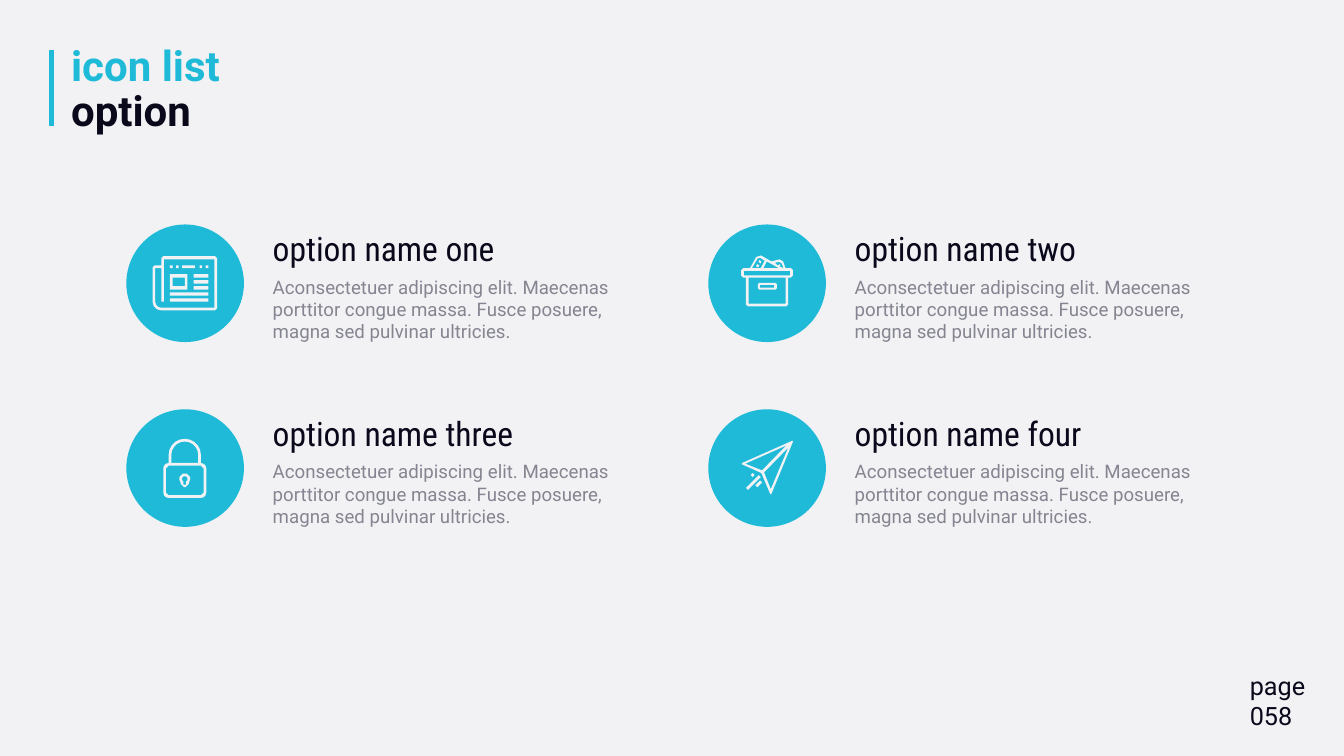
from lxml import etree
from pptx import Presentation, util as u
from pptx.dml.color import RGBColor
from pptx.enum import shapes, text
from pptx.oxml import ns

WIDTH, HEIGHT = 20, 11.25
PALE = RGBColor(0xF2, 0xF2, 0xF5)
CYAN = RGBColor(0x1F, 0xBA, 0xD7)
DARK = RGBColor(0x0A, 0x09, 0x1B)
GREY = RGBColor(0x85, 0x85, 0x91)

GRID_LEFT, GRID_TOP = 1.88, 3.34
COLUMN, ROW = 8.66, 2.75
DISC = 1.75
TEXT_X, NAME_H = 2.08, 0.71
BLURB = ("Aconsectetuer adipiscing elit. Maecenas porttitor congue massa. "
         "Fusce posuere, magna sed pulvinar ultricies.")


def rect(x, y, w, h, r=0):
    return [(x, y, r), (x + w, y, r), (x + w, y + h, r), (x, y + h, r)]


# Icon contours in hundredths of an inch from the disc's corner, each corner
# being (x, y) or (x, y, radius). A contour inside another one cuts a hole.
NEWSPAPER = [
    [(52, 47, 3), (135, 47, 3), (135, 128, 3), (39, 128, 13), (39, 61, 3), (52, 61)],
    [(56, 52), (131, 52), (131, 124), (43, 124, 9), (43, 65), (52, 65),
     (52, 115), (56, 115)],
    rect(65, 74, 26, 23), rect(69, 79, 18, 13),
    rect(83, 61, 19, 4),
    *[rect(x, 61, 4, 4) for x in (65, 74, 109, 118)],
    *[rect(100, y, 22, 5) for y in (74, 83, 92)],
    *[rect(65, y, 57, 5) for y in (101, 110)],
]
PADLOCK = [
    [(63, 80), (63, 44, 24), (111, 44, 24), (111, 80),
     (107, 80), (107, 48, 20), (67, 48, 20), (67, 80)],
    rect(55, 80, 64, 52, 8), rect(59, 84, 56, 44, 4),
    [(79, 96, 5), (95, 96, 5), (95, 108, 3), (93, 110),
     (93, 116, 5), (81, 116, 5), (81, 110), (79, 108, 3)],
    [(83, 100, 2), (91, 100, 2), (91, 106), (89, 107),
     (89, 112), (85, 112), (85, 107), (83, 106)],
]
ARCHIVE_BOX = [
    rect(49, 65, 77, 14, 3), rect(53, 69, 69, 7),
    [(56, 79), (60, 79), (60, 118), (115, 118), (115, 79), (119, 79),
     (119, 122, 3), (56, 122, 3)],
    rect(74, 87, 28, 10, 2), rect(77, 90, 21, 4),
    [(62, 65), (74, 44, 5), (80, 47), (94, 55), (110, 51, 4), (115, 65)],
    [(65, 65), (75, 48, 3), (84, 54), (78, 65)],
    [(82, 65), (87, 55), (105, 65)],
    [(99, 57), (108, 55, 3), (112, 65), (107, 63), (107, 59), (103, 61)],
    [(79, 55), (76, 53), (75, 56), (78, 58)],
    [(76, 61), (73, 59), (71, 62), (74, 64)],
]
PAPER_PLANE = [
    [(48, 81, 2), (127, 46, 2), (93, 128, 2), (79, 95)],
    [(55, 81), (116, 54), (80, 91)],
    [(93, 119), (83, 94), (119, 57)],
    [(63, 98), (66, 95), (69, 98), (66, 101)],
    [(56, 117), (75, 98), (78, 101), (59, 120)],
    [(70, 113), (77, 106), (80, 109), (73, 116)],
]
OPTIONS = [
    ("option name one", NEWSPAPER), ("option name two", ARCHIVE_BOX),
    ("option name three", PADLOCK), ("option name four", PAPER_PLANE),
]


def outline(corners):
    """Points of a closed contour, its corners rounded, in thousandths of an inch."""
    points = []
    for i, (x, y, *radius) in enumerate(corners):
        r = radius[0] if radius else 0
        if not r:
            points.append((x * 10, y * 10))
            continue
        ends = []
        for nx, ny, *_ in (corners[i - 1], corners[(i + 1) % len(corners)]):
            share = r / ((nx - x) ** 2 + (ny - y) ** 2) ** 0.5
            ends.append(((nx - x) * share, (ny - y) * share))
        (ax, ay), (bx, by) = ends
        steps = 1 if r <= 5 else 3 if r <= 13 else 5
        for step in range(steps + 1):
            t = step / steps
            a = (1 - t) ** 3 + 3 * t * (1 - t) ** 2 * 0.45
            b = t ** 3 + 3 * t ** 2 * (1 - t) * 0.45
            points.append(((x + a * ax + b * bx) * 10, (y + a * ay + b * by) * 10))
    return points


def paint(sp, color):
    sp.shadow.inherit = False
    sp.fill.solid()
    sp.fill.fore_color.rgb = color
    sp.line.fill.background()


def add_icon(parent, x, y, contours):
    first, *others = [outline(c) for c in contours]
    builder = parent.build_freeform(*first[0], scale=u.Inches(1) / 1000)
    builder.add_line_segments(first[1:])
    for points in others:
        builder.move_to(*points[0])
        builder.add_line_segments(points[1:])
    paint(builder.convert_to_shape(u.Inches(x), u.Inches(y)), PALE)


def add_text(parent, x, y, w, h, lines, size, color=DARK, font="Roboto"):
    box = parent.add_textbox(*map(u.Inches, (x, y, w, h)))
    tf = box.text_frame
    tf.word_wrap = True
    tf.auto_size = text.MSO_AUTO_SIZE.NONE
    for i, line in enumerate(lines):
        p = tf.add_paragraph() if i else tf.paragraphs[0]
        p.text = line
        p.font.size, p.font.name = u.Pt(size), font
        p.font.color.rgb = color
    return tf


def add_title(s):
    x = 0.77
    bar = s.shapes.add_connector(shapes.MSO_CONNECTOR.STRAIGHT,
                                 *map(u.Inches, (x, 0.75, x, 1.88)))
    bar.line.color.rgb, bar.line.width = CYAN, u.Pt(5)
    etree.SubElement(bar._element.spPr, ns.qn("a:effectLst"))
    tf = add_text(s.shapes, 0.96, 0.62, 5.96, 1.46, ["icon list\voption"], 45)
    p = tf.paragraphs[0]
    p.line_spacing = 0.9
    p.font.bold = True
    p.runs[0].font.color.rgb = CYAN


def add_option(s, x, y, name, icon):
    group = s.shapes.add_group_shape().shapes
    add_text(group, x + TEXT_X, y + NAME_H, 5.71, 1.11, [BLURB], 20, GREY)
    add_text(group, x + TEXT_X, y, 5.25, NAME_H, [name], 36, font="Roboto Condensed")
    disc = group.add_shape(shapes.MSO_SHAPE.OVAL, *map(u.Inches, (x, y, DISC, DISC)))
    paint(disc, CYAN)
    add_icon(group, x, y, icon)


def main():
    prs = Presentation()
    prs.slide_width, prs.slide_height = u.Inches(WIDTH), u.Inches(HEIGHT)
    s = prs.slides.add_slide(prs.slide_layouts[6])
    s.background.fill.solid()
    s.background.fill.fore_color.rgb = PALE
    add_title(s)
    add_text(s.shapes, 18.5, 9.92, 1.9, 1.04, ["page", "058"], 27)
    for i, (name, icon) in enumerate(OPTIONS):
        row, column = divmod(i, 2)
        add_option(s, GRID_LEFT + column * COLUMN, GRID_TOP + row * ROW, name, icon)
    prs.save("out.pptx")


if __name__ == "__main__":
    main()
